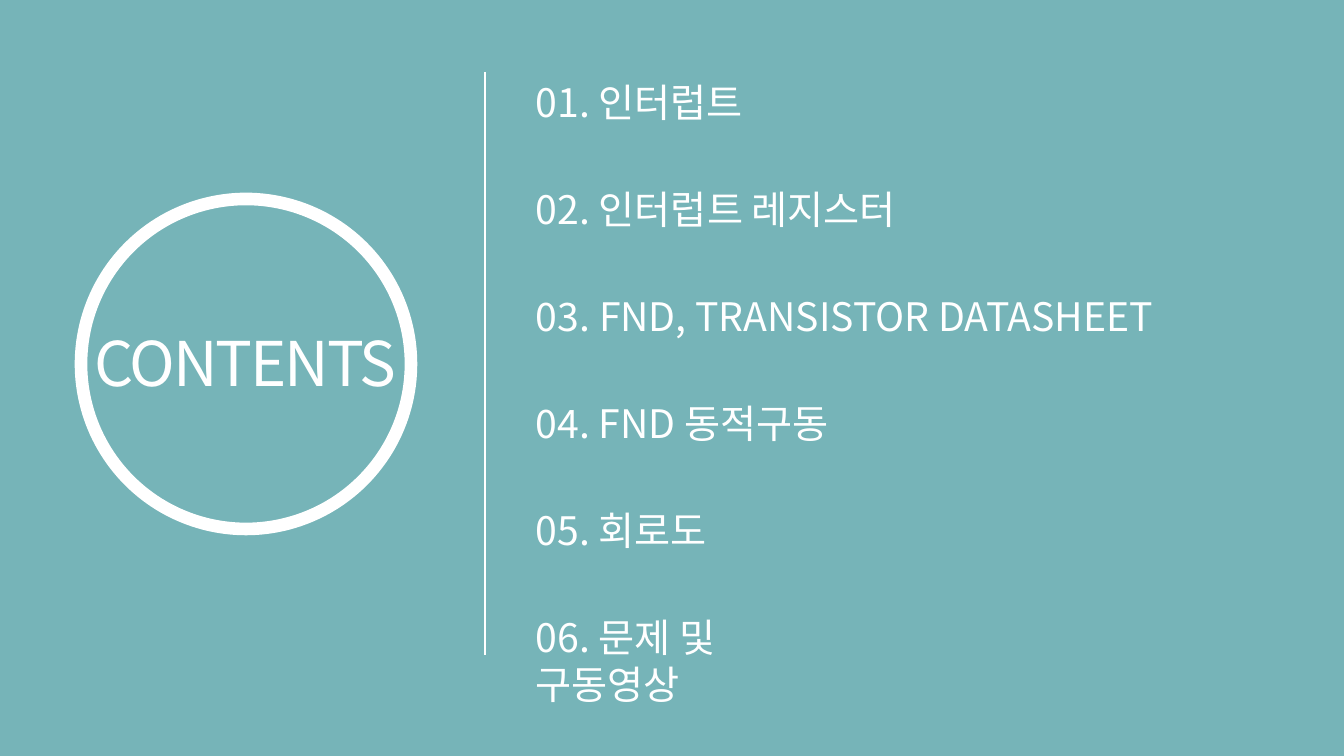
from lxml import etree
from pptx import Presentation
from pptx.dml.color import RGBColor
from pptx.enum.shapes import MSO_CONNECTOR, MSO_SHAPE
from pptx.enum.text import MSO_AUTO_SIZE, PP_ALIGN
from pptx.oxml.ns import qn
from pptx.util import Emu, Pt

TEAL = RGBColor(0x76, 0xB4, 0xB8)
WHITE = RGBColor(0xFF, 0xFF, 0xFF)
FONT = "Noto Sans CJK KR"
OVAL = MSO_SHAPE.OVAL
STRAIGHT = MSO_CONNECTOR.STRAIGHT
LEFT, CENTER = PP_ALIGN.LEFT, PP_ALIGN.CENTER
GROW = MSO_AUTO_SIZE.SHAPE_TO_FIT_TEXT

EMU_PER_PX = 914400 / 100.8
ITEM_LEFT, ITEM_TOP, ITEM_PITCH, ITEM_HEIGHT = 526, 73, 107, 92

# Text, box width, whether the text wraps
ITEMS = [
    ("01. 인터럽트", 237, False),
    ("02. 인터럽트 레지스터", 401, False),
    ("03. FND, TRANSISTOR DATASHEET", 672, False),
    ("04. FND 동적구동", 327, False),
    ("05. 회로도", 202, False),
    ("06. 문제 및 구동영상", 350, True),
]


def px(n):
    return Emu(round(n * EMU_PER_PX))


def add_text(slide, text, x, y, w, h, size, align=LEFT, wrap=False, spacing=0):
    """Add a white text box; spacing is in hundredths of a point."""
    tf = slide.shapes.add_textbox(px(x), px(y), px(w), px(h)).text_frame
    tf.word_wrap = wrap
    tf.auto_size = GROW
    tf.text = text
    p = tf.paragraphs[0]
    p.alignment = align
    r = p.runs[0]
    r.font.size = Pt(size)
    r.font.name = FONT
    r.font.color.rgb = WHITE
    r_pr = r.font._element
    etree.SubElement(r_pr, qn("a:ea")).set("typeface", FONT)
    if spacing:
        r_pr.set("spc", str(spacing))


def add_divider(slide, x, top, bottom):
    line = slide.shapes.add_connector(STRAIGHT, px(x), px(top), px(x), px(bottom))
    line.line.color.rgb = WHITE
    line.line.width = Pt(1.25)
    etree.SubElement(line._element.spPr, qn("a:effectLst"))


def add_ring(slide, x, y, diameter):
    ring = slide.shapes.add_shape(OVAL, px(x), px(y), px(diameter), px(diameter))
    ring.shadow.inherit = False
    ring.fill.background()
    ring.line.color.rgb = WHITE
    ring.line.width = Pt(9)


def main():
    prs = Presentation()
    prs.slide_width, prs.slide_height = px(1344), px(756)
    slide = prs.slides.add_slide(prs.slide_layouts[6])
    fill = slide.background.fill
    fill.solid()
    fill.fore_color.rgb = TEAL

    add_divider(slide, 485, 72, 655)
    add_ring(slide, 81, 199, 330)
    add_text(slide, "CONTENTS", 81, 320, 329, 87, 44, CENTER, spacing=-150)
    for i, (text, width, wrap) in enumerate(ITEMS):
        add_text(slide, text, ITEM_LEFT, ITEM_TOP + i * ITEM_PITCH,
                 width, ITEM_HEIGHT, 28, wrap=wrap)

    prs.save("out.pptx")


if __name__ == "__main__":
    main()
